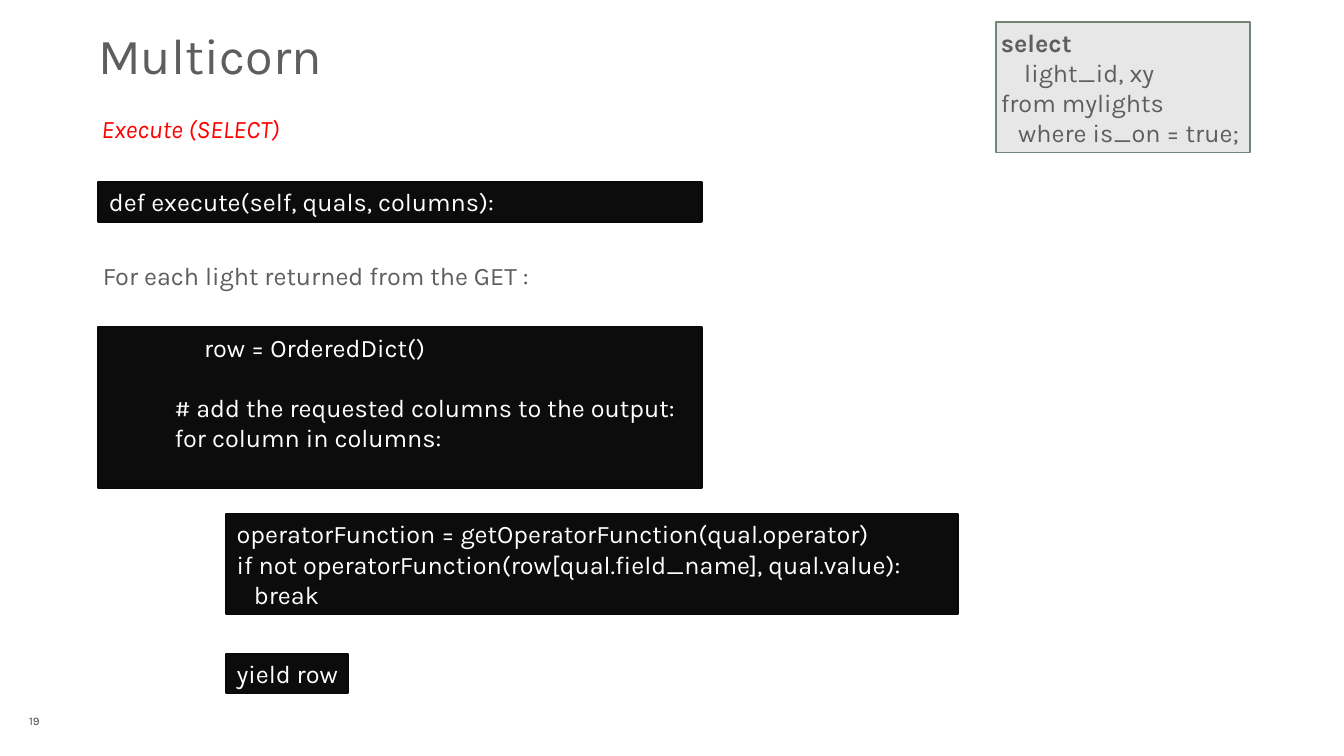
from pptx import Presentation
from pptx.dml.color import RGBColor as RGB
from pptx.enum.shapes import MSO_SHAPE as SHAPE
from pptx.enum.text import MSO_ANCHOR as ANCHOR, PP_ALIGN as ALIGN
from pptx.util import Inches, Pt

WHITE = RGB(0xFF, 0xFF, 0xFF)
BLACK = RGB(0x0C, 0x0C, 0x0C)
EDGE = RGB(0x09, 0x09, 0x09)
GRAY = RGB(0x5E, 0x5E, 0x5E)
DARK = RGB(0x44, 0x44, 0x44)
RED = RGB(0xFF, 0x00, 0x00)
PALE = RGB(0xE7, 0xE7, 0xE7)
GREEN = RGB(0x71, 0x86, 0x74)

deck = Presentation()
deck.slide_width = Inches(17.78)
deck.slide_height = Inches(10)
slide = deck.slides.add_slide(deck.slide_layouts[6])


def write(shape, lines, size, color, inset=0, anchor=ANCHOR.MIDDLE):
    frame = shape.text_frame
    frame.word_wrap = True
    frame.vertical_anchor = anchor
    frame.margin_left = frame.margin_right = Inches(inset)
    frame.margin_top = frame.margin_bottom = Inches(inset)
    for i, (indent, text) in enumerate(lines):
        para = frame.paragraphs[0] if i == 0 else frame.add_paragraph()
        para.text = text
        para.alignment = ALIGN.LEFT
        para.font.name = "Karla"
        para.font.size = Pt(size)
        para.font.color.rgb = color
        if indent:
            props = para._p.get_or_add_pPr()
            props.set("marL", str(Inches(indent)))
            props.set("indent", "0")
    return frame


def panel(box, lines, fill, edge, width, color, anchor=ANCHOR.MIDDLE):
    shape = slide.shapes.add_shape(SHAPE.RECTANGLE, *map(Inches, box))
    shape.shadow.inherit = False
    shape.fill.solid()
    shape.fill.fore_color.rgb = fill
    shape.line.color.rgb = edge
    shape.line.width = Pt(width)
    return write(shape, lines, 24, color, 0.06, anchor)


labels = [
    ((1.3, 0.28, 10.02, 0.88), "Multicorn", 48, GRAY, 0, ANCHOR.MIDDLE),
    ((0.36, 9.44, 0.19, 0.19), "19", 11, DARK, 0, ANCHOR.TOP),
    ((1.3, 1.38, 15.64, 0.78), "Execute (SELECT)", 24, RED, 0.04, ANCHOR.TOP),
    ((1.3, 3.38, 5.96, 0.52), "For each light returned from the GET :", 24, GRAY, 0.06,
     ANCHOR.MIDDLE),
]
frames = []
for box, text, size, color, inset, anchor in labels:
    shape = slide.shapes.add_textbox(*map(Inches, box))
    frames.append(write(shape, [(0, text)], size, color, inset, anchor))

title, number, head, note = frames
number.word_wrap = False
number.paragraphs[0].alignment = ALIGN.CENTER
head.paragraphs[0].font.italic = True
head.paragraphs[0].line_spacing = 1.2
head.paragraphs[0].space_before = Pt(6)

blocks = [
    ((1.3, 2.41, 7.98, 0.52), [(0.08, "def execute(self, quals, columns):")]),
    ((1.3, 4.33, 7.98, 2.13), [
        (1.34, "row = OrderedDict()"),
        (0.95, "# add the requested columns to the output:"),
        (0.95, "for column in columns:"),
    ]),
    ((2.99, 6.8, 9.68, 1.32), [
        (0.08, "operatorFunction = getOperatorFunction(qual.operator)"),
        (0.08, "if not operatorFunction(row[qual.field_name], qual.value):"),
        (0.31, "break"),
    ]),
    ((2.99, 8.65, 1.61, 0.52), [(0.08, "yield row")]),
]
codes = [panel(box, lines, BLACK, EDGE, 2, WHITE, ANCHOR.TOP) for box, lines in blocks]
codes[1].paragraphs[1].space_before = Pt(29)

query = panel((13.18, 0.29, 3.36, 1.73), [
    (0, "select"),
    (0.31, "light_id, xy"),
    (0, "from mylights"),
    (0.23, "where is_on = true;"),
], PALE, GREEN, 1.5, GRAY)
query.paragraphs[0].font.bold = True

deck.save("out.pptx")
